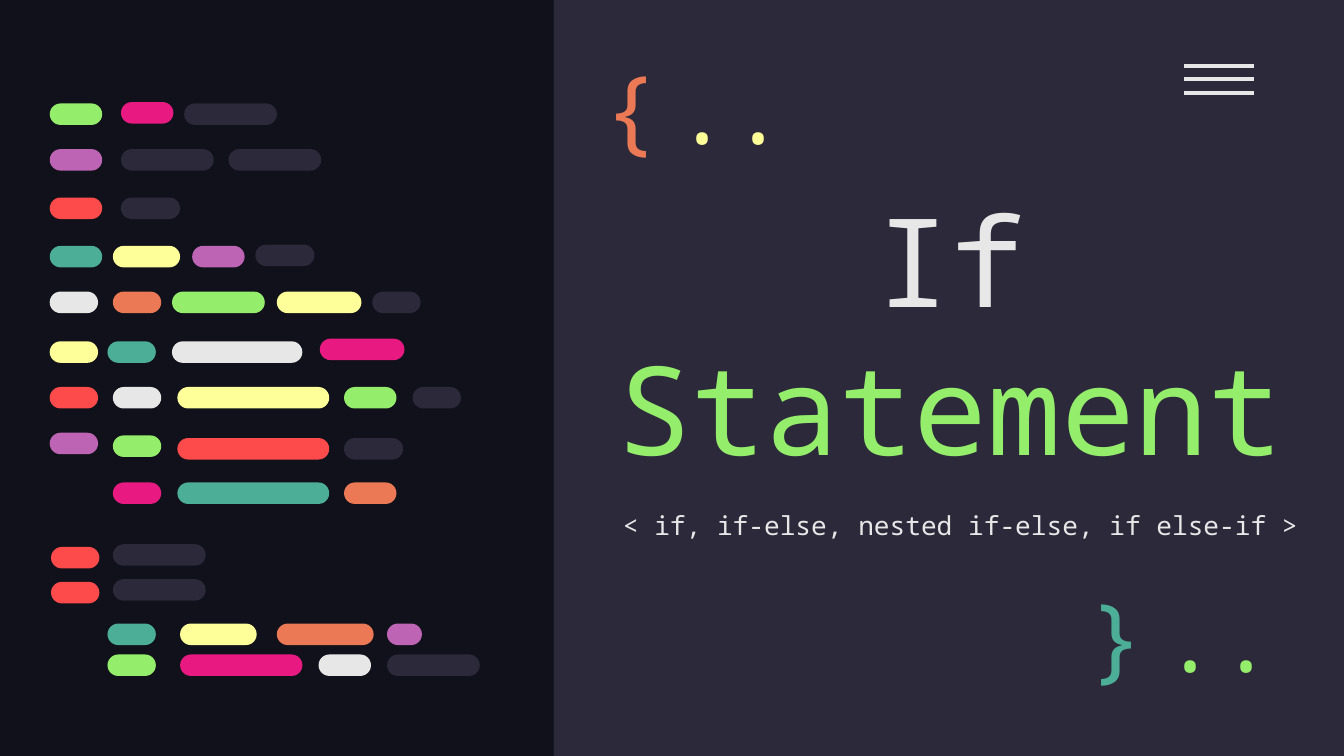
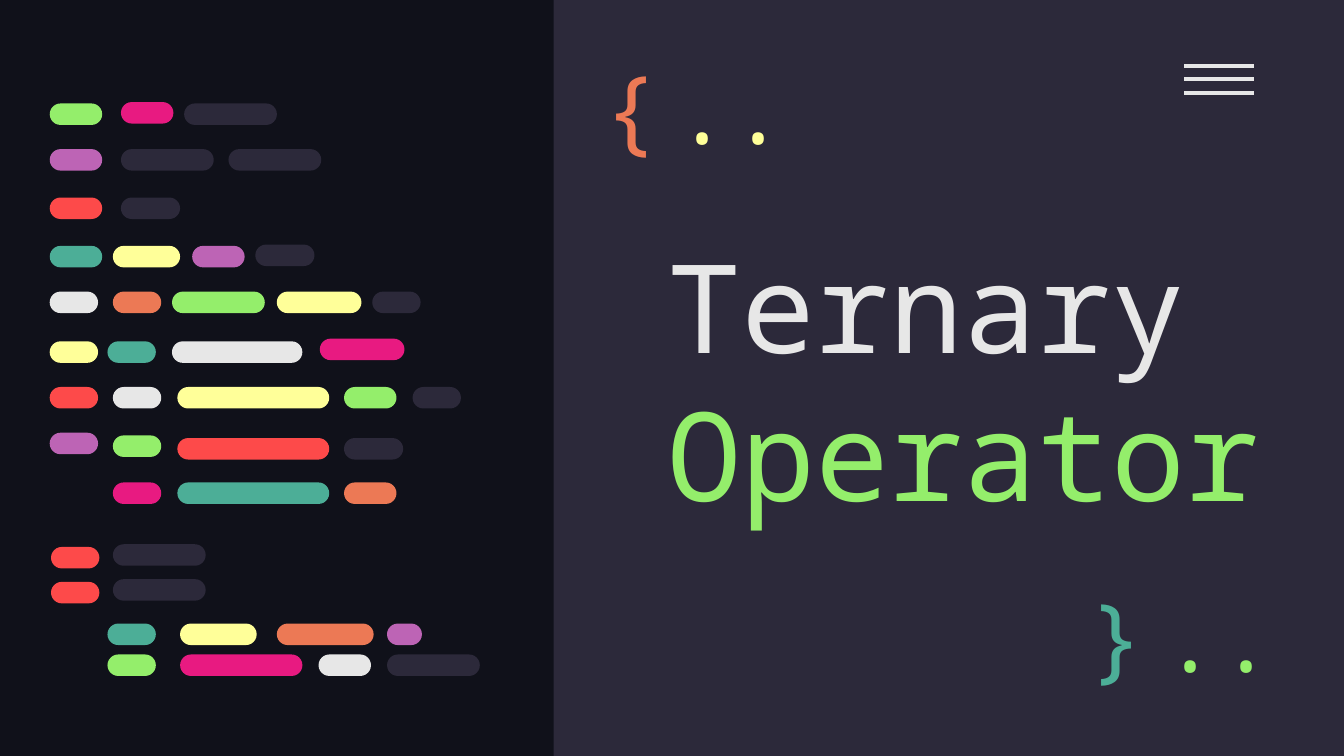
from dataclasses import dataclass

from lxml import etree
from pptx import Presentation
from pptx.dml.color import RGBColor
from pptx.enum import shapes, text
from pptx.oxml import ns
from pptx.util import Inches, Pt


@dataclass(frozen=True)
class Theme:
    font: str = "Noto Sans Mono"
    night: str = "10111A"
    panel: str = "2C293A"
    white: str = "E7E7E7"
    green: str = "94EE6B"
    pink: str = "E81A81"
    purple: str = "BD64B5"
    red: str = "FD4A4A"
    teal: str = "4CAE97"
    yellow: str = "FFFF99"
    orange: str = "EC7955"
    title_size: int = 66
    brace_size: int = 50
    subtitle_size: int = 14


THEME = Theme()

# Each slide: title runs, title box, optional subtitle
COVERS = [
    {"title": [("If ", "white"), ("Statement", "green")],
     "box": (4.24, 1.09, 5.66, 2.77),
     "subtitle": "< if, if-else, nested if-else, if else-if >"},
    {"title": [("Ternary \v", "white"), ("Operator", "green")],
     "box": (4.34, 1.43, 5.66, 2.77),
     "subtitle": None},
]
SUBTITLE_BOX = (4.39, 3.71, 5.52, 0.36)

# Mock code lines: top, then (left, width, colour) of each pill
CODE_LINES = [
    (0.77, [(0.37, 0.39, "green"), (1.37, 0.69, "panel")]),
    (0.76, [(0.9, 0.39, "pink")]),
    (1.11, [(0.37, 0.39, "purple"), (0.9, 0.69, "panel"), (1.7, 0.69, "panel")]),
    (1.47, [(0.37, 0.39, "red"), (0.9, 0.44, "panel")]),
    (1.83, [(0.37, 0.39, "teal"), (0.84, 0.5, "yellow"), (1.43, 0.39, "purple")]),
    (1.82, [(1.9, 0.44, "panel")]),
    (2.17, [(0.37, 0.36, "white"), (0.84, 0.36, "orange"), (1.28, 0.69, "green"),
            (2.06, 0.63, "yellow"), (2.77, 0.36, "panel")]),
    (2.54, [(0.37, 0.36, "yellow"), (0.8, 0.36, "teal"), (1.28, 0.97, "white")]),
    (2.52, [(2.38, 0.63, "pink")]),
    (2.88, [(0.37, 0.36, "red"), (0.84, 0.36, "white"), (1.32, 1.13, "yellow"),
            (2.56, 0.39, "green"), (3.07, 0.36, "panel")]),
    (3.22, [(0.37, 0.36, "purple")]),
    (3.24, [(0.84, 0.36, "green")]),
    (3.26, [(1.32, 1.13, "red"), (2.56, 0.44, "panel")]),
    (3.59, [(0.84, 0.36, "pink"), (1.32, 1.13, "teal"), (2.56, 0.39, "orange")]),
    (4.07, [(0.38, 0.36, "red")]),
    (4.05, [(0.84, 0.69, "panel")]),
    (4.33, [(0.38, 0.36, "red")]),
    (4.31, [(0.84, 0.69, "panel")]),
    (4.64, [(0.8, 0.36, "teal"), (1.34, 0.57, "yellow"), (2.06, 0.72, "orange"),
            (2.88, 0.26, "purple")]),
    (4.87, [(0.8, 0.36, "green"), (1.34, 0.91, "pink"), (2.37, 0.39, "white"),
            (2.88, 0.69, "panel")]),
]
PILL_HEIGHT = 0.16

# Decorative code marks: text, colour, box, alignment, anchor
LEFT, RIGHT, CENTER = text.PP_ALIGN.LEFT, text.PP_ALIGN.RIGHT, text.PP_ALIGN.CENTER
TOP, MIDDLE = text.MSO_ANCHOR.TOP, text.MSO_ANCHOR.MIDDLE
CODE_MARKS = [
    ("{", "orange", (4.39, 0.27, 0.77, 0.95), LEFT, TOP),
    ("}", "teal", (8, 4.2, 0.57, 0.83), LEFT, TOP),
    ("..", "green", (8.51, 4.43, 1.07, 0.6), RIGHT, MIDDLE),
    ("..", "yellow", (4.88, 0.5, 1.07, 0.6), RIGHT, MIDDLE),
]

SLIDE_WIDTH = 10
SLIDE_HEIGHT = SLIDE_WIDTH * 9 / 16
PANEL_LEFT = 4.12
MENU_LEFT, MENU_RIGHT, MENU_TOP, MENU_GAP, MENU_BARS = 8.81, 9.33, 0.49, 0.1, 3


def color(name):
    return RGBColor.from_string(getattr(THEME, name))


def add_block(parent, kind, box, fill):
    block = parent.add_shape(kind, *map(Inches, box))
    block.shadow.inherit = False
    block.fill.solid()
    block.fill.fore_color.rgb = color(fill)
    block.line.fill.background()
    return block


def add_text(slide, runs, box, size, align, anchor=TOP, inset=0.1):
    """Add one paragraph made of (words, colour) runs."""
    frame = slide.shapes.add_textbox(*map(Inches, box)).text_frame
    frame.word_wrap = True
    frame.vertical_anchor = anchor
    frame.margin_top = frame.margin_bottom = Inches(inset)
    paragraph = frame.paragraphs[0]
    paragraph.alignment = align
    for words, shade in runs:
        for index, line in enumerate(words.split("\v")):
            if index:
                paragraph.add_line_break()
            if line:
                run = paragraph.add_run()
                run.text = line
                run.font.name = THEME.font
                run.font.size = Pt(size)
                run.font.color.rgb = color(shade)
    return paragraph


def add_menu_icon(slide):
    icon = slide.shapes.add_group_shape().shapes
    for index in range(MENU_BARS):
        y = Inches(MENU_TOP + index * MENU_GAP)
        bar = icon.add_connector(shapes.MSO_CONNECTOR.STRAIGHT,
                                 Inches(MENU_LEFT), y, Inches(MENU_RIGHT), y)
        bar.line.color.rgb = color("white")
        bar.line.width = Pt(2.25)
        etree.SubElement(bar._element.spPr, ns.qn("a:effectLst"))


def add_code_lines(slide):
    code = slide.shapes.add_group_shape().shapes
    for top, pills in CODE_LINES:
        for left, width, fill in pills:
            pill = add_block(code, shapes.MSO_SHAPE.ROUNDED_RECTANGLE,
                             (left, top, width, PILL_HEIGHT), fill)
            pill.adjustments[0] = 0.5


def add_cover(deck, cover):
    slide = deck.slides.add_slide(deck.slide_layouts[6])
    slide.background.fill.solid()
    slide.background.fill.fore_color.rgb = color("night")
    add_block(slide.shapes, shapes.MSO_SHAPE.RECTANGLE,
              (PANEL_LEFT, 0, SLIDE_WIDTH - PANEL_LEFT, SLIDE_HEIGHT), "panel")
    add_menu_icon(slide)
    add_text(slide, cover["title"], cover["box"], THEME.title_size, CENTER, MIDDLE)
    add_code_lines(slide)
    for mark, shade, box, align, anchor in CODE_MARKS:
        add_text(slide, [(mark, shade)], box, THEME.brace_size, align, anchor)
    if cover["subtitle"]:
        subtitle = add_text(slide, [(cover["subtitle"], "white")], SUBTITLE_BOX,
                            THEME.subtitle_size, CENTER, inset=0.05)
        subtitle.line_spacing = 1.15


def main():
    deck = Presentation()
    deck.slide_width = Inches(SLIDE_WIDTH)
    deck.slide_height = Inches(SLIDE_HEIGHT)
    for cover in COVERS:
        add_cover(deck, cover)
    deck.save("out.pptx")


if __name__ == "__main__":
    main()
